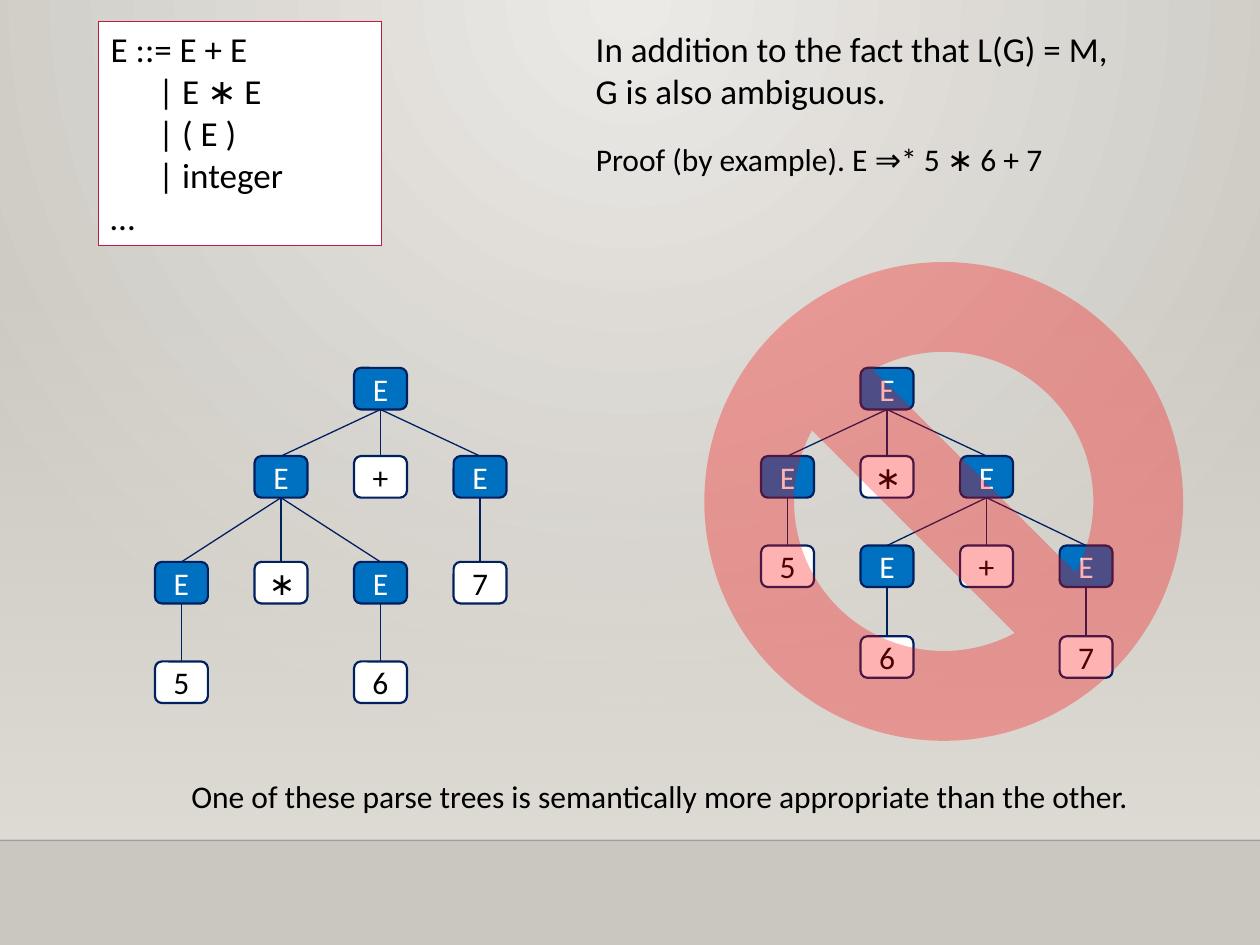
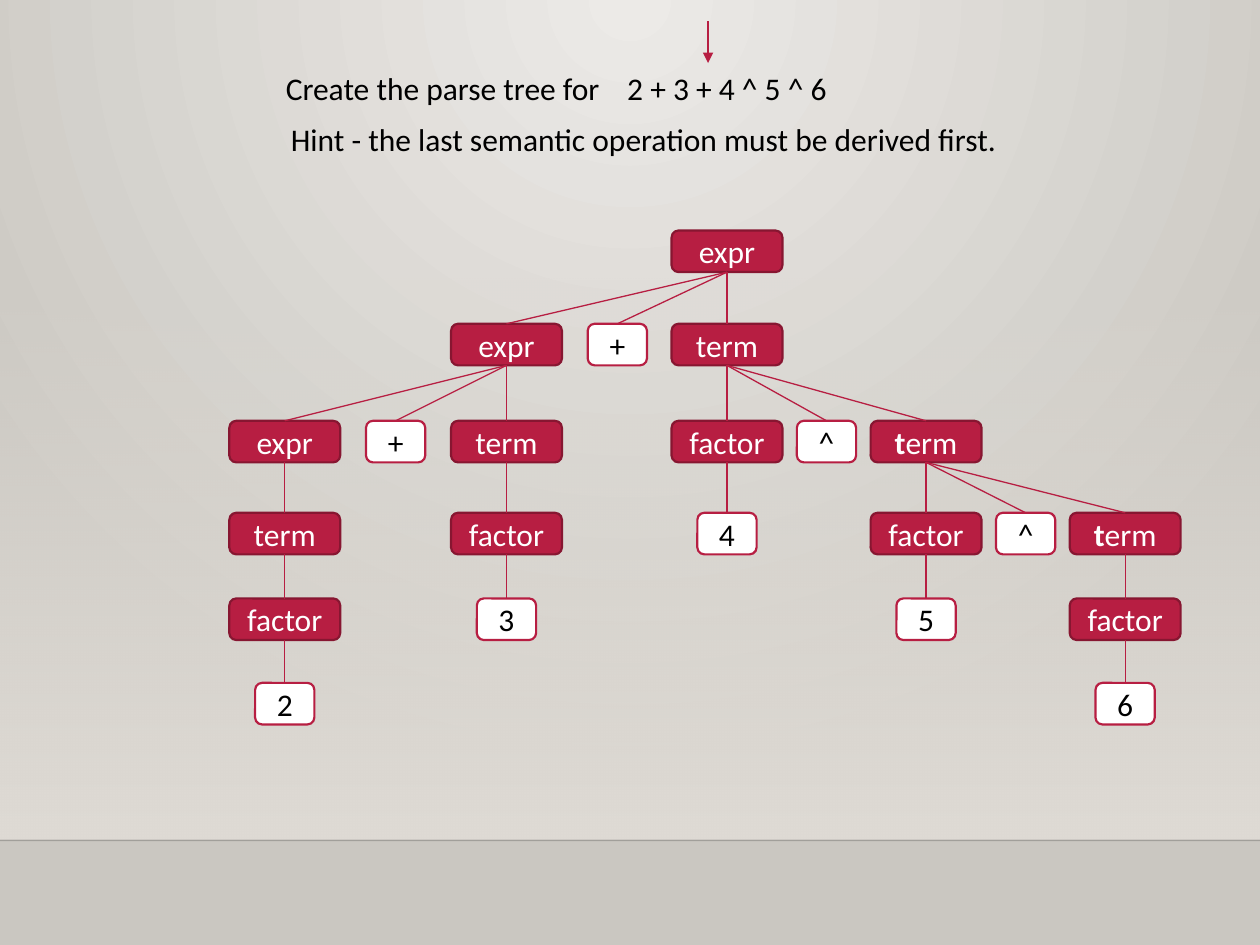
"""Build two slides on ambiguous grammars and parse trees."""
from lxml import etree
from pptx import Presentation
from pptx import util as u
from pptx.dml import color as dml
from pptx.enum import shapes, text
from pptx.oxml import ns

HUES = {
    "black": "000000", "white": "FFFFFF", "blue": "0070C0", "navy": "002060",
    "red": "B71E42", "wine": "871631", "stop": "FF0000", "rule": "000001",
    "pale": "ECEAE7", "stone": "CAC7C1", "sand": "DFDBD5",
}
LOOKS = {
    "blue": dict(fill="blue", edge="navy", line="navy", wide=0.42, slim=0.42),
    "red": dict(fill="red", edge="wine", line="red", wide=0.88, slim=0.47),
}


def hue(name):
    """Return the named colour."""
    return dml.RGBColor.from_string(HUES[name])


def first(item, tag):
    """Return the first element with this tag."""
    return next(item.iter(ns.qn(tag)))


def add(item, tag, **atts):
    """Append an XML child and return it."""
    return etree.SubElement(item, ns.qn(tag), **atts)


def fade(item, share):
    """Make the first colour in the element partly opaque."""
    add(first(item, "a:srgbClr"), "a:alpha", val=str(share * 1000))


def blend(fill, start, end):
    """Set a gradient between two colours."""
    fill.gradient()
    for stop, name, spot in zip(fill.gradient_stops, (start, end), (0, 1)):
        stop.color.rgb = hue(name)
        stop.position = spot


class Deck:
    """Hold the style and the current slide."""

    def __init__(self, font="Calibri"):
        """Set the slide size and the shared background."""
        self.font = font
        self.show = Presentation()
        self.show.slide_width, self.show.slide_height = u.Inches(10), u.Inches(7.5)
        master = self.show.slide_master
        blend(master.background.fill, "pale", "stone")
        grad = first(master.element, "a:gradFill")
        grad.remove(first(grad, "a:lin"))
        glow = add(grad, "a:path", path="circle")
        add(glow, "a:fillToRect", l="43000", t="0", r="43000", b="100000")

    def page(self):
        """Start a slide with the shared band and rule."""
        self.slide = self.show.slides.add_slide(self.show.slide_layouts[6])
        band = self.shape("RECTANGLE", 0, 2.2, 10, 4.46)
        blend(band.fill, "sand", "sand")
        band.fill.gradient_angle = 270
        fade(band.element, 0)
        rule = self.line("rule", 1, (0, 6.67), (10, 6.67))
        fade(rule.element, 20)

    def shape(self, kind, x, y, wide, high, fill=None, edge=None, size=1.25):
        """Add a preset shape."""
        form = self.slide.shapes.add_shape(
            shapes.MSO_SHAPE[kind], *map(u.Inches, (x, y, wide, high)))
        form.shadow.inherit = False
        if fill:
            form.fill.solid()
            form.fill.fore_color.rgb = hue(fill)
        if edge:
            form.line.color.rgb = hue(edge)
            form.line.width = u.Pt(size)
        else:
            form.line.fill.background()
        return form

    def line(self, color, size=0.75, start=(0, 0), end=(0, 0)):
        """Add a straight connector."""
        link = self.slide.shapes.add_connector(
            shapes.MSO_CONNECTOR.STRAIGHT, *map(u.Inches, (*start, *end)))
        link.line.color.rgb = hue(color)
        link.line.width = u.Pt(size)
        add(first(link.element, "p:spPr"), "a:effectLst")
        return link

    def arrow(self, color, start, end):
        """Add a connector with a head at its end."""
        link = self.line(color, start=start, end=end)
        add(first(link.element, "a:ln"), "a:tailEnd", type="triangle")

    def words(self, frame, paras, size=18, color="black", align="LEFT", tab=None):
        """Fill a frame with paragraphs; in a split one the first run is bold."""
        for num, para in enumerate(paras):
            row = frame.add_paragraph() if num else frame.paragraphs[0]
            row.alignment = text.PP_ALIGN[align]
            if tab:
                tabs = add(first(row._p, "a:pPr"), "a:tabLst")
                add(tabs, "a:tab", pos=str(u.Inches(tab)), algn="l")
            parts = [para] if isinstance(para, str) else para
            for spot, part in enumerate(parts):
                run = row.add_run()
                run.text = part
                run.font.name, run.font.size = self.font, u.Pt(size)
                run.font.color.rgb = hue(color)
                run.font.bold = len(parts) > 1 and spot == 0

    def label(self, line, x, y, wide, high=0.4, size=18, wrap=True, tab=None):
        """Add a text box."""
        box = self.slide.shapes.add_textbox(*map(u.Inches, (x, y, wide, high)))
        box.text_frame.word_wrap = wrap
        box.text_frame.auto_size = text.MSO_AUTO_SIZE.SHAPE_TO_FIT_TEXT
        self.words(box.text_frame, [line], size, tab=tab)

    def panel(self, rows, x, y, wide, high):
        """Add a framed box of grammar rules."""
        box = self.shape("RECTANGLE", x, y, wide, high, "white", "red", 0.75)
        box.text_frame.vertical_anchor = text.MSO_ANCHOR.TOP
        self.words(box.text_frame, rows, 20)

    def tree(self, node, cols, tops, look, depth=0):
        """Draw a node and its branches, and return the node."""
        word, col, *kids = node
        style = LOOKS[look]
        wide = style["wide" if kids else "slim"]
        fill, edge, ink = ((style["fill"], style["edge"], "white") if kids
                           else ("white", style["line"], "black"))
        box = self.shape("ROUNDED_RECTANGLE", cols[col] - wide / 2, tops[depth],
                         wide, 0.33, fill, edge)
        box.text_frame.vertical_anchor = text.MSO_ANCHOR.MIDDLE
        self.words(box.text_frame, [word], color=ink, align="CENTER")
        for kid in kids:
            leaf = self.tree(kid, cols, tops, look, depth + 1)
            link = self.line(style["line"])
            link.begin_connect(box, 2)
            link.end_connect(leaf, 0)
        return box


def steps(start, gap, count):
    """Return evenly spaced places."""
    return [start + gap * num for num in range(count)]


def main():
    """Build both slides and save them."""
    deck = Deck()

    deck.page()
    deck.panel(["E ::= E + E", "      | E ∗ E", "      | ( E )",
                "      | integer", "…"], 0.78, 0.17, 2.25, 1.78)
    deck.label("In addition to the fact that L(G) = M, G is also ambiguous.",
               4.63, 0.17, 4.37, 0.77, size=20)
    deck.label("Proof (by example). E ⇒* 5 ∗ 6 + 7", 4.63, 1.06, 3.81, wrap=False)
    good = ("E", 2,
            ("E", 1, ("E", 0, ("5", 0)), ("∗", 1), ("E", 2, ("6", 2))),
            ("+", 2),
            ("E", 3, ("7", 3)))
    bad = ("E", 1,
           ("E", 0, ("5", 0)),
           ("∗", 1),
           ("E", 2, ("E", 1, ("6", 1)), ("+", 2), ("E", 3, ("7", 3))))
    deck.tree(good, steps(1.44, 0.79, 4), [2.92, 3.62, 4.46, 5.25], "blue")
    deck.tree(bad, steps(6.25, 0.79, 4), [2.92, 3.62, 4.33, 5.05], "blue")
    deck.label("One of these parse trees is semantically more appropriate "
               "than the other.", 1.42, 6.12, 7.69, wrap=False)
    ban = deck.shape("NO_SYMBOL", 5.59, 2.08, 3.8, 3.8, "stop")
    fade(ban.element, 30)

    deck.page()
    deck.label("Create the parse tree for\t2 + 3 + 4 ^ 5 ^ 6", 2.17, 0.5, 5, tab=2.71)
    deck.label("Hint - the last semantic operation must be derived first.",
               2.21, 0.9, 6.46)
    left = ("expr", 2,
            ("expr", 0, ("term", 0, ("factor", 0, ("2", 0)))),
            ("+", 1),
            ("term", 2, ("factor", 2, ("3", 2))))
    last = (("t", "erm"), 8, ("factor", 8, ("6", 8)))
    right = ("term", 4,
             ("factor", 4, ("4", 4)),
             ("^", 5),
             (("t", "erm"), 6, ("factor", 6, ("5", 6)), ("^", 7), last))
    deck.tree(("expr", 4, left, ("+", 3), right),
              steps(2.26, 0.88, 4) + steps(5.77, 0.79, 5),
              [1.83, 2.57, 3.34, 4.07, 4.75, 5.42], "red")
    deck.arrow("red", (5.62, 0.17), (5.62, 0.5))

    deck.show.save("out.pptx")


if __name__ == "__main__":
    main()
